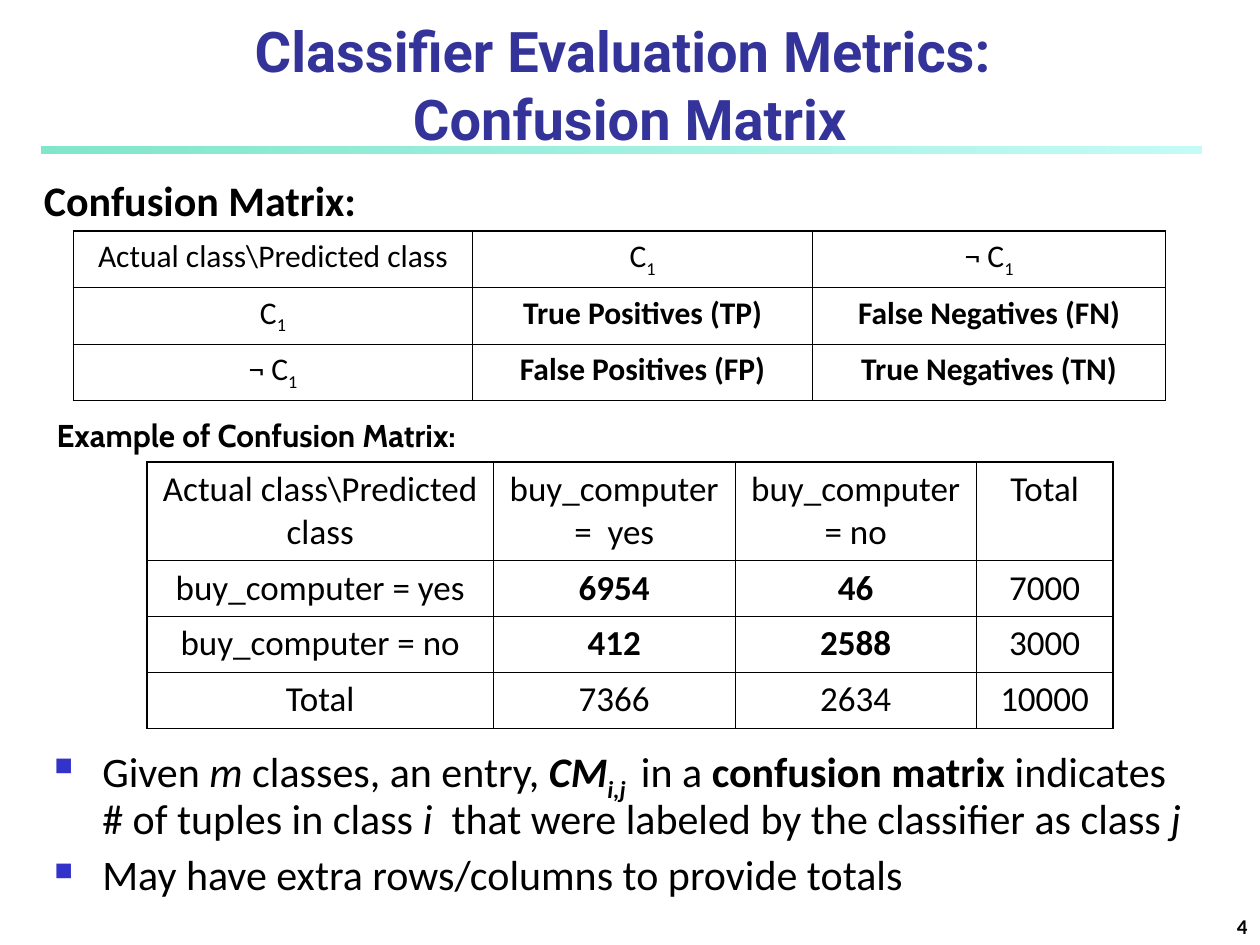
from lxml import etree
from pptx import Presentation
from pptx.dml.color import RGBColor
from pptx.enum.shapes import MSO_SHAPE
from pptx.enum.text import MSO_ANCHOR, PP_ALIGN
from pptx.oxml import parse_xml
from pptx.oxml.ns import nsdecls, qn
from pptx.util import Inches, Pt

COLORS = {"text": "000000", "title": "333399", "bullet": "3333CC",
          "rule_start": "00CE98", "rule_end": "8FF9EF"}
UNIT = Inches(1 / 12)  # the slide is a grid of 120 columns by 90 rows

prs = Presentation()
prs.slide_width, prs.slide_height = 120 * UNIT, 90 * UNIT
slide = prs.slides.add_slide(prs.slide_layouts[6])


def write(paragraph, spans, size, font="Calibri", color="text"):
    """Add (text, style) spans; style letters: b bold, i italic, s subscript."""
    for text, style in spans:
        run = paragraph.add_run()
        run.text = text
        run.font.size, run.font.name = Pt(size), font
        run.font.bold, run.font.italic = "b" in style, "i" in style
        run.font.color.rgb = RGBColor.from_string(COLORS[color])
        if "s" in style:
            run.font._element.set("baseline", "-25000")


def add_text_frame(left, top, width, height, anchor=MSO_ANCHOR.TOP, wrap=True):
    box = slide.shapes.add_textbox(*(int(n * UNIT) for n in (left, top, width, height)))
    box.text_frame.word_wrap = wrap
    box.text_frame.vertical_anchor = anchor
    return box.text_frame


# Gradient rule under the title
rule = slide.shapes.add_shape(MSO_SHAPE.RECTANGLE, 4 * UNIT, 14 * UNIT,
                              int(110.4 * UNIT), int(0.65 * UNIT))
rule.shadow.inherit = False
rule.line.fill.background()
rule.fill.gradient()
rule.fill.gradient_angle = 0
for stop, position, color, alpha in zip(rule.fill.gradient_stops, (0, 1),
                                        ("rule_start", "rule_end"), (50000, 52000)):
    stop.position = position
    stop.color.rgb = RGBColor.from_string(COLORS[color])
for tint, alpha in zip(rule._element.spPr.iter(qn("a:srgbClr")), (50000, 52000)):
    etree.SubElement(tint, qn("a:alpha"), val=str(alpha))

# Title
title = add_text_frame(0, 0, 120, 15, MSO_ANCHOR.BOTTOM).paragraphs[0]
title.text = "Classifier Evaluation Metrics: \vConfusion Matrix"
title.alignment = PP_ALIGN.CENTER
for run in title.runs:
    run.font.size, run.font.name, run.font.bold = Pt(32), "Roboto", True
    run.font.color.rgb = RGBColor.from_string(COLORS["title"])

# Headings and page number
for place, heading, size, font, wrap in (
        ((3, 16, 34.2, 6), "Confusion Matrix:", 24, "Calibri", True),
        ((4.2, 39, 46.4, 4.8), "Example of Confusion Matrix:", 18, "Cabin", False)):
    write(add_text_frame(*place, wrap=wrap).paragraphs[0], [(heading, "b")], size, font)
page_number = add_text_frame(95, 85, 25, 5, MSO_ANCHOR.BOTTOM).paragraphs[0]
page_number.alignment = PP_ALIGN.RIGHT
write(page_number, [("4", "b")], 12)

# Tables: a cell is plain text, or a list of (text, style) spans
corner = "Actual class\\Predicted class"
positive = [("C", ""), ("1", "s")]
negative = [("¬ C", ""), ("1", "s")]
definitions = [
    [corner, positive, negative],
    [positive, [("True Positives (TP)", "b")], [("False Negatives (FN)", "b")]],
    [negative, [("False Positives (FP)", "b")], [("True Negatives (TN)", "b")]],
]
example = [
    [corner, "buy_computer =  yes", "buy_computer = no", "Total"],
    ["buy_computer = yes", [("6954", "b")], [("46", "b")], "7000"],
    ["buy_computer = no", [("412", "b")], [("2588", "b")], "3000"],
    ["Total", "7366", "2634", "10000"],
]
for left, top, widths, heights, rows, size in (
        (14, 44, (33, 23, 23, 13), (9.4, 5.3, 5.3, 5.4), example, 20),
        (7, 22, (38, 32.4, 33.6), (5.4, 5.35, 5.4), definitions, 18)):
    table = slide.shapes.add_table(len(rows), len(widths), left * UNIT, top * UNIT,
                                   int(sum(widths) * UNIT), int(sum(heights) * UNIT)).table
    table.first_row = table.horz_banding = False
    for column, width in zip(table.columns, widths):
        column.width = int(width * UNIT)
    for row, height in zip(table.rows, heights):
        row.height = int(height * UNIT)
    for r, values in enumerate(rows):
        for c, value in enumerate(values):
            cell = table.cell(r, c)
            label = cell.text_frame.paragraphs[0]
            label.alignment = PP_ALIGN.CENTER
            label.space_before = Pt(size / 4)
            write(label, [(value, "")] if isinstance(value, str) else value, size)
            cell.fill.background()
            outer = {"L": c == 0, "R": c == len(widths) - 1,
                     "T": r == 0, "B": r == len(rows) - 1}
            for place, (side, is_outer) in enumerate(outer.items()):
                line_width = Pt(1.08 if is_outer else 0.45)
                cell._tc.tcPr.insert(place, parse_xml(
                    f'<a:ln{side} {nsdecls("a")} w="{line_width}"><a:solidFill>'
                    f'<a:srgbClr val="{COLORS["text"]}"/></a:solidFill></a:ln{side}>'))

# Bulleted notes
notes = [
    [("Given", ""), (" m", "i"), (" classes, an entry, ", ""), ("CM", "bi"), ("i,j ", "bis"),
     (" in a ", ""), ("confusion matrix", "b"), (" indicates # of tuples in class ", ""),
     ("i", "i"), ("  that were labeled by the classifier as class ", ""), ("j", "i")],
    [("May have extra rows/columns to provide totals", "")],
]
body = add_text_frame(4, 70.5, 111, 16.5)
for n, spans in enumerate(notes):
    note = body.add_paragraph() if n else body.paragraphs[0]
    note.line_spacing, note.space_before = 0.9, Pt(6)
    write(note, spans, 24)
    properties = note._p.get_or_add_pPr()
    properties.set("marL", str(Inches(0.38)))
    properties.set("indent", str(-Inches(0.38)))
    bullet_color = etree.SubElement(properties, qn("a:buClr"))
    etree.SubElement(bullet_color, qn("a:srgbClr"), val=COLORS["bullet"])
    etree.SubElement(properties, qn("a:buSzPct"), val="60000")
    etree.SubElement(properties, qn("a:buChar"), char="■")

prs.save("out.pptx")
